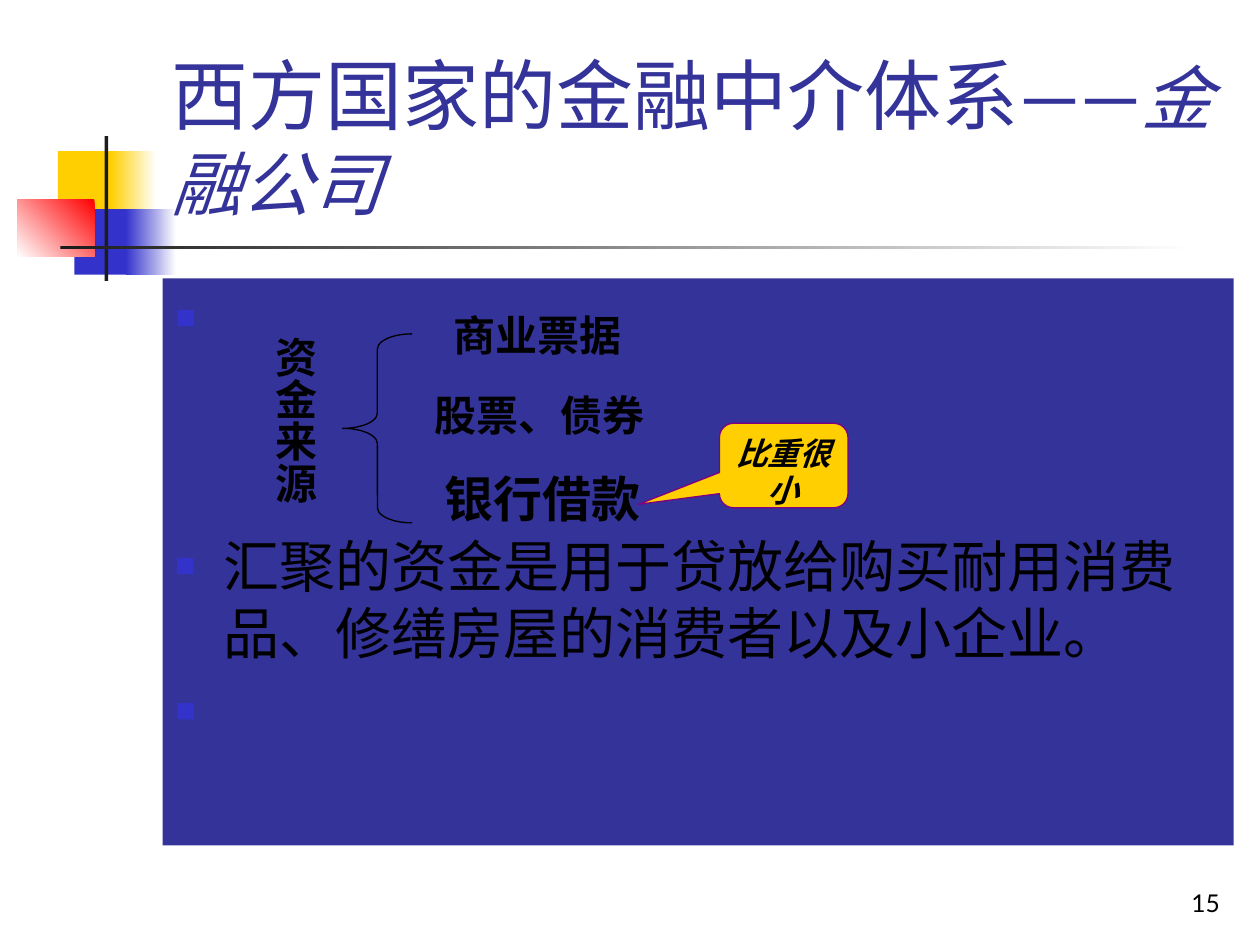
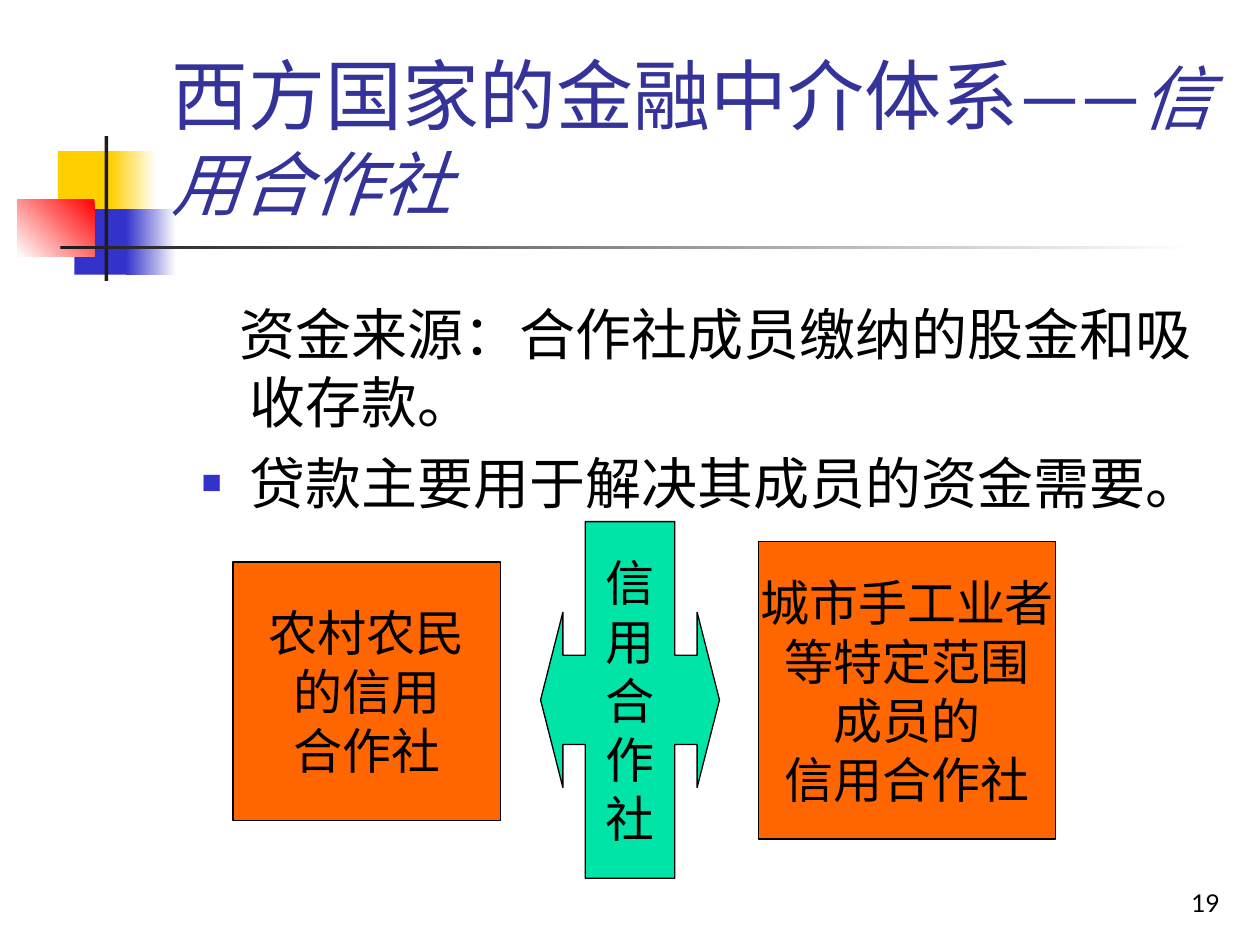
import pptx
import pptx.dml.color
import pptx.enum.lang
import pptx.enum.shapes
import pptx.enum.text
import pptx.oxml.ns
import pptx.util
from lxml import etree

Inches, Pt = pptx.util.Inches, pptx.util.Pt
SHAPE = pptx.enum.shapes.MSO_SHAPE
ALIGN = pptx.enum.text.PP_ALIGN
ANCHOR = pptx.enum.text.MSO_ANCHOR
qn = pptx.oxml.ns.qn

FONT = "Lato"
COLORS = {
    "title": "333399", "panel": "333399", "bullet": "3333CC", "text": "000000",
    "yellow": "FFCF01", "blue": "3333CC", "red": "FF0000", "dark": "1C1C1C",
    "white": "FFFFFF", "orange": "FF6600", "green": "00E4A8", "purple": "800080",
}


def rgb(name):
    return pptx.dml.color.RGBColor.from_string(COLORS[name])


# ---- Shared helpers ----
def style_run(r, size, color="text", bold=False, italic=False):
    f = r.font
    f.size, f.bold, f.italic, f.name = Pt(size), bold, italic, FONT
    f.color.rgb = rgb(color)
    f.language_id = pptx.enum.lang.MSO_LANGUAGE_ID.SIMPLIFIED_CHINESE
    # Chinese glyphs take the same font as Latin ones
    ea = etree.Element(qn("a:ea"), typeface=FONT)
    r.font._element.find(qn("a:latin")).addnext(ea)


def set_text(s, lines, size, align=ALIGN.LEFT, anchor=ANCHOR.TOP, wrap=True, **style):
    tf = s.text_frame
    tf.word_wrap, tf.vertical_anchor = wrap, anchor
    tf.text = "\n".join(lines)
    for p in tf.paragraphs:
        p.alignment = align
        for r in p.runs:
            style_run(r, size, **style)


def add_label(slide, box, text, size, **kw):
    s = slide.shapes.add_textbox(*map(Inches, box))
    set_text(s, [text], size, **kw)
    return s


def add_block(slide, kind, box, fill=None, line=None, fade_angle=None):
    s = slide.shapes.add_shape(kind, *map(Inches, box))
    s.shadow.inherit = False
    if fill is None:
        s.fill.background()
    elif fade_angle is None:
        s.fill.solid()
        s.fill.fore_color.rgb = rgb(fill)
    else:
        s.fill.gradient()
        s.fill.gradient_angle = fade_angle
        for stop, name in zip(s.fill.gradient_stops, (fill, "white")):
            stop.color.rgb = rgb(name)
    if line:
        s.line.color.rgb = rgb(line)
        s.line.width = Pt(0.75)
    else:
        s.line.fill.background()
    return s


def set_bullet(p, left, first, bullet=True):
    pPr = p._p.get_or_add_pPr()
    pPr.set("marL", str(Inches(left)))
    pPr.set("indent", str(Inches(first)))
    if not bullet:
        etree.SubElement(pPr, qn("a:buNone"))
        return
    clr = etree.SubElement(pPr, qn("a:buClr"))
    etree.SubElement(clr, qn("a:srgbClr"), val=COLORS["bullet"])
    etree.SubElement(pPr, qn("a:buSzPct"), val="60000")
    etree.SubElement(pPr, qn("a:buFont"), typeface="Arial")
    etree.SubElement(pPr, qn("a:buChar"), char="■")


def place(s, box):
    s.left, s.top, s.width, s.height = map(Inches, box)
    s.text_frame.auto_size = pptx.enum.text.MSO_AUTO_SIZE.NONE


# ---- Layout decoration: squares, cross bars ----
def decorate_layout(layout, slide):
    parts = [
        ((0.46, 1.2, 0.48, 0.52), "yellow", None),
        ((0.88, 1.2, 0.36, 0.52), "yellow", 0),
        ((0.59, 1.66, 0.46, 0.52), "blue", None),
        ((1, 1.66, 0.4, 0.52), "blue", 0),
        ((0.14, 1.58, 0.61, 0.46), "red", 225),
        ((0.83, 1.08, 0.03, 1.15), "dark", None),
        ((0.48, 1.95, 9, 0.03), "dark", 0),
    ]
    for i, (box, fill, angle) in enumerate(parts):
        s = add_block(slide, SHAPE.RECTANGLE, box, fill, fade_angle=angle)
        s.element.nvSpPr.cNvPr.set("id", str(100 + i))
        layout.shapes.element.append(s.element)


# ---- Title and page number ----
def add_heading(slide, topic, number):
    s = slide.shapes.title
    place(s, (1.26, 0.23, 8.52, 1.6))
    tf = s.text_frame
    tf.word_wrap, tf.vertical_anchor = True, ANCHOR.BOTTOM
    p = tf.paragraphs[0]
    p.alignment = ALIGN.LEFT
    for text, size, italic in (("西方国家的金融中介体系——", 44, False), (topic, 40, True)):
        r = p.add_run()
        r.text = text
        style_run(r, size, "title", italic=italic)
    add_label(slide, (7.7, 6.83, 2.08, 0.5), number, 14,
              align=ALIGN.RIGHT, anchor=ANCHOR.BOTTOM)


# ---- Body list: items are (text, first-line indent, bulleted) ----
def add_body(slide, box, items):
    s = slide.placeholders[1]
    place(s, box)
    set_text(s, [item[0] for item in items], 32)
    for i, (p, (_, first, bullet)) in enumerate(zip(s.text_frame.paragraphs, items)):
        set_bullet(p, 0.38, first, bullet)
        p.space_before = Pt(8 if i else 0)
    return s


# ---- Sources of funds: brace diagram ----
def add_sources(slide, x, y):
    s = add_label(slide, (x, y + 0.16, 0.66, 1.65), "资金来源", 24, bold=True)
    tf = s.text_frame
    tf._txBody.bodyPr.set("vert", "eaVert")
    tf.margin_left = tf.margin_right = Inches(0.05)
    tf.margin_top = tf.margin_bottom = Inches(0.1)

    brace = add_block(slide, SHAPE.LEFT_BRACE, (x + 0.79, y + 0.24, 0.55, 1.5), line="text")
    brace.adjustments[0] = 0.22

    sources = [("商业票据", 1.57, 2.46, 24), ("股票、债券", 1.42, 2.05, 24),
               ("银行借款", 1.5, 1.89, 28)]
    for i, (text, dx, w, size) in enumerate(sources):
        add_label(slide, (x + dx, y + 0.63 * i, w, 0.5), text, size, bold=True)

    note = add_block(slide, SHAPE.ROUNDED_RECTANGULAR_CALLOUT,
                     (x + 3.78, y + 0.95, 1.02, 0.67), "yellow", "purple")
    note.adjustments[0], note.adjustments[1] = -1.13, 0.46
    set_text(note, ["比重很小"], 18, align=ALIGN.CENTER, bold=True, italic=True)


# ---- Two kinds of cooperative either side of a two-way arrow ----
def add_cooperatives(slide, x, y):
    arrow = add_block(slide, SHAPE.LEFT_RIGHT_ARROW_CALLOUT,
                      (x + 2.44, y, 1.42, 2.83), "green", "text")
    for i, value in enumerate((0.5, 0.49, 0.125, 0.5)):
        arrow.adjustments[i] = value
    rural = add_block(slide, SHAPE.FLOWCHART_PROCESS,
                      (x, y + 0.32, 2.12, 2.05), "orange", "text")
    urban = add_block(slide, SHAPE.FLOWCHART_PROCESS,
                      (x + 4.17, y + 0.16, 2.36, 2.36), "orange", "text")
    texts = [(arrow, list("信用合作社")),
             (rural, ["农村农民", "的信用", "合作社"]),
             (urban, ["城市手工业者", "等特定范围", "成员的", "信用合作社"])]
    for s, lines in texts:
        set_text(s, lines, 28, align=ALIGN.CENTER, anchor=ANCHOR.MIDDLE, wrap=False)


def build_finance_company(slide):
    add_heading(slide, "金融公司", "15")
    x, y = 1.29, 2.21
    body = add_body(slide, (x, y, 8.5, 4.5), [
        ("汇聚的资金是用于贷放给购买耐用消费品、修缮房屋的消费者以及小企业。", -0.38, True)])
    body.fill.solid()
    body.fill.fore_color.rgb = rgb("panel")
    body.text_frame.margin_top = Inches(2.01)  # room for the brace diagram
    # Square markers above and below the list item
    for dy in (0.25, 3.37):
        add_block(slide, SHAPE.RECTANGLE, (x + 0.12, y + dy, 0.13, 0.13), "bullet")
    add_sources(slide, 1.93, 2.41)


def build_credit_cooperative(slide):
    add_heading(slide, "信用合作社", "19")
    add_body(slide, (1.5, 2.33, 8.5, 4.5), [
        ("资金来源：合作社成员缴纳的股金和吸收存款。", -0.08, False),
        ("贷款主要用于解决其成员的资金需要。", -0.38, True)])
    add_cooperatives(slide, 1.85, 4.14)


def main():
    prs = pptx.Presentation()
    prs.slide_width, prs.slide_height = Inches(10), Inches(7.5)
    layout = prs.slide_layouts[1]
    builders = (build_finance_company, build_credit_cooperative)
    slides = [prs.slides.add_slide(layout) for _ in builders]
    decorate_layout(layout, slides[0])
    for build, slide in zip(builders, slides):
        build(slide)
    prs.save("out.pptx")


if __name__ == "__main__":
    main()
